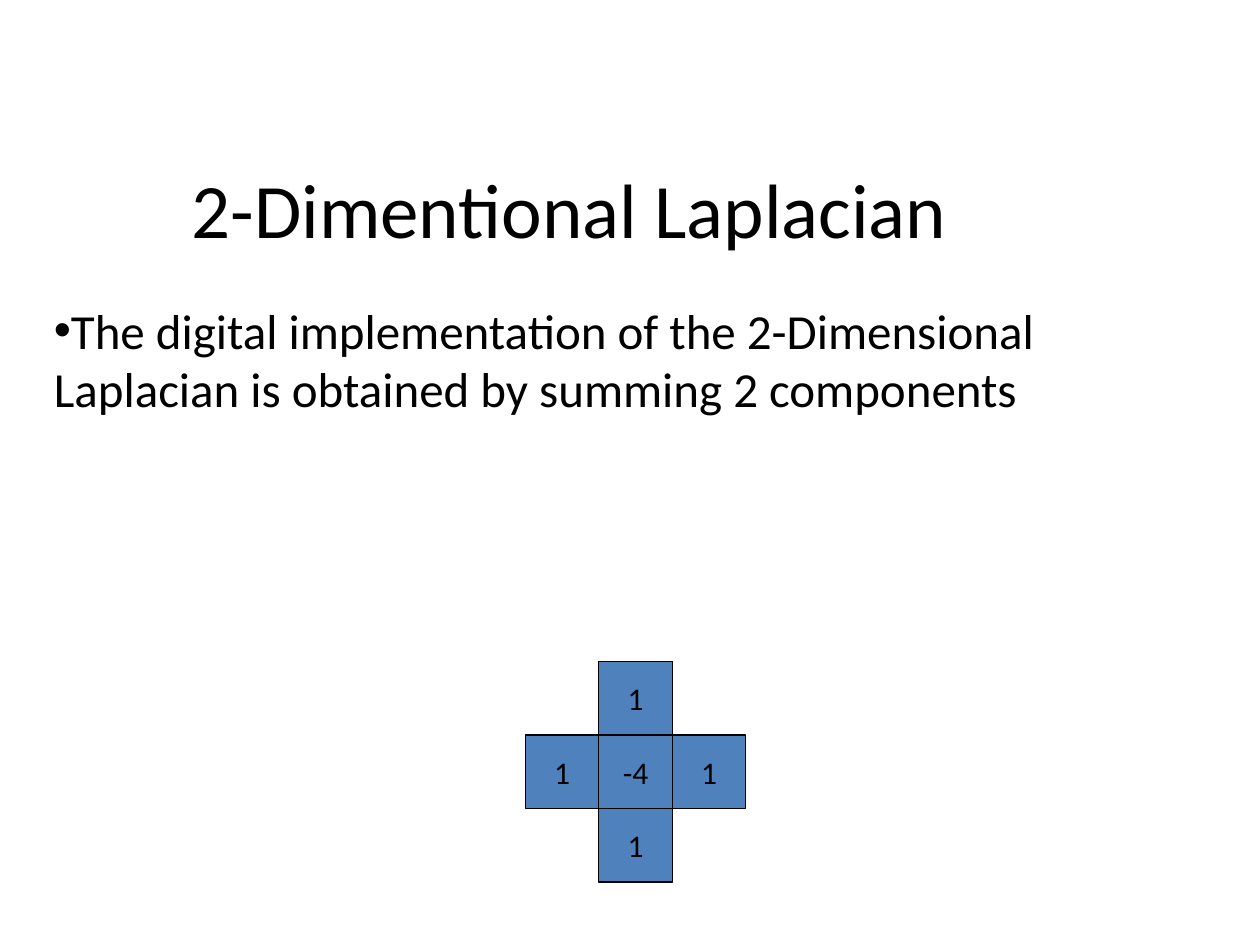
from lxml import etree
from pptx import Presentation
from pptx import util as u
from pptx.dml.color import RGBColor
from pptx.enum import shapes, text
from pptx.oxml.ns import qn

WIDTH, HEIGHT = u.Inches(10), u.Inches(7.5)
COLORS = {"ink": "000000", "cell": "4F81BD"}
FONT = "Calibri"
CELL = u.Inches(7 / 12)
KERNEL_LEFT, KERNEL_TOP = u.Inches(4.17), u.Inches(5.25)
KERNEL = [
    [None, "1", None],
    ["1", "-4", "1"],
    [None, "1", None],
]


def color(name):
    """Return the named colour."""
    return RGBColor.from_string(COLORS[name])


def write(shape, words, size, align, anchor, wrap=True):
    """Put one styled paragraph into a shape and return it."""
    frame = shape.text_frame
    frame.word_wrap = wrap
    frame.vertical_anchor = anchor
    paragraph = frame.paragraphs[0]
    paragraph.text = words
    paragraph.alignment = align
    paragraph.font.name = FONT
    paragraph.font.size = u.Pt(size)
    paragraph.font.color.rgb = color("ink")
    return paragraph


def add_text(slide, box, words, size, align, anchor):
    """Add a text box placed by shares of the slide's size."""
    left, top, width, height = box
    shape = slide.shapes.add_textbox(
        int(left * WIDTH), int(top * HEIGHT), int(width * WIDTH), int(height * HEIGHT)
    )
    return write(shape, words, size, align, anchor)


def add_bullet(paragraph):
    """Give a paragraph a round bullet without a hanging indent."""
    properties = paragraph._p.get_or_add_pPr()
    properties.set("marL", "0")
    properties.set("indent", "0")
    etree.SubElement(properties, qn("a:buFont")).set("typeface", "Arial")
    etree.SubElement(properties, qn("a:buChar")).set("char", "•")
    defaults = properties.find(qn("a:defRPr"))
    if defaults is not None:
        properties.append(defaults)


def add_cell(slide, column, row, value):
    """Add one square of the kernel at a grid position."""
    shape = slide.shapes.add_shape(
        shapes.MSO_SHAPE.RECTANGLE,
        KERNEL_LEFT + column * CELL, KERNEL_TOP + row * CELL, CELL, CELL,
    )
    shape.shadow.inherit = False
    shape.fill.solid()
    shape.fill.fore_color.rgb = color("cell")
    shape.line.color.rgb = color("ink")
    shape.line.width = u.Pt(0.75)
    write(shape, value, 18, text.PP_ALIGN.CENTER, text.MSO_ANCHOR.MIDDLE, wrap=False)


def add_kernel(slide):
    """Add the squares of the kernel row by row."""
    for row, values in enumerate(KERNEL):
        for column, value in enumerate(values):
            if value is not None:
                add_cell(slide, column, row, value)


def main():
    """Build and save the slide."""
    presentation = Presentation()
    presentation.slide_width, presentation.slide_height = WIDTH, HEIGHT
    slide = presentation.slides.add_slide(presentation.slide_layouts[6])
    add_text(slide, (0.027, 0.136, 0.85, 0.167), "2-Dimentional Laplacian", 44,
             text.PP_ALIGN.CENTER, text.MSO_ANCHOR.MIDDLE)
    body = add_text(
        slide, (0.033, 0.311, 0.933, 0.6),
        "The digital implementation of the 2-Dimensional Laplacian"
        " is obtained by summing 2 components",
        28, text.PP_ALIGN.LEFT, text.MSO_ANCHOR.TOP,
    )
    add_bullet(body)
    add_kernel(slide)
    presentation.save("out.pptx")


if __name__ == "__main__":
    main()
